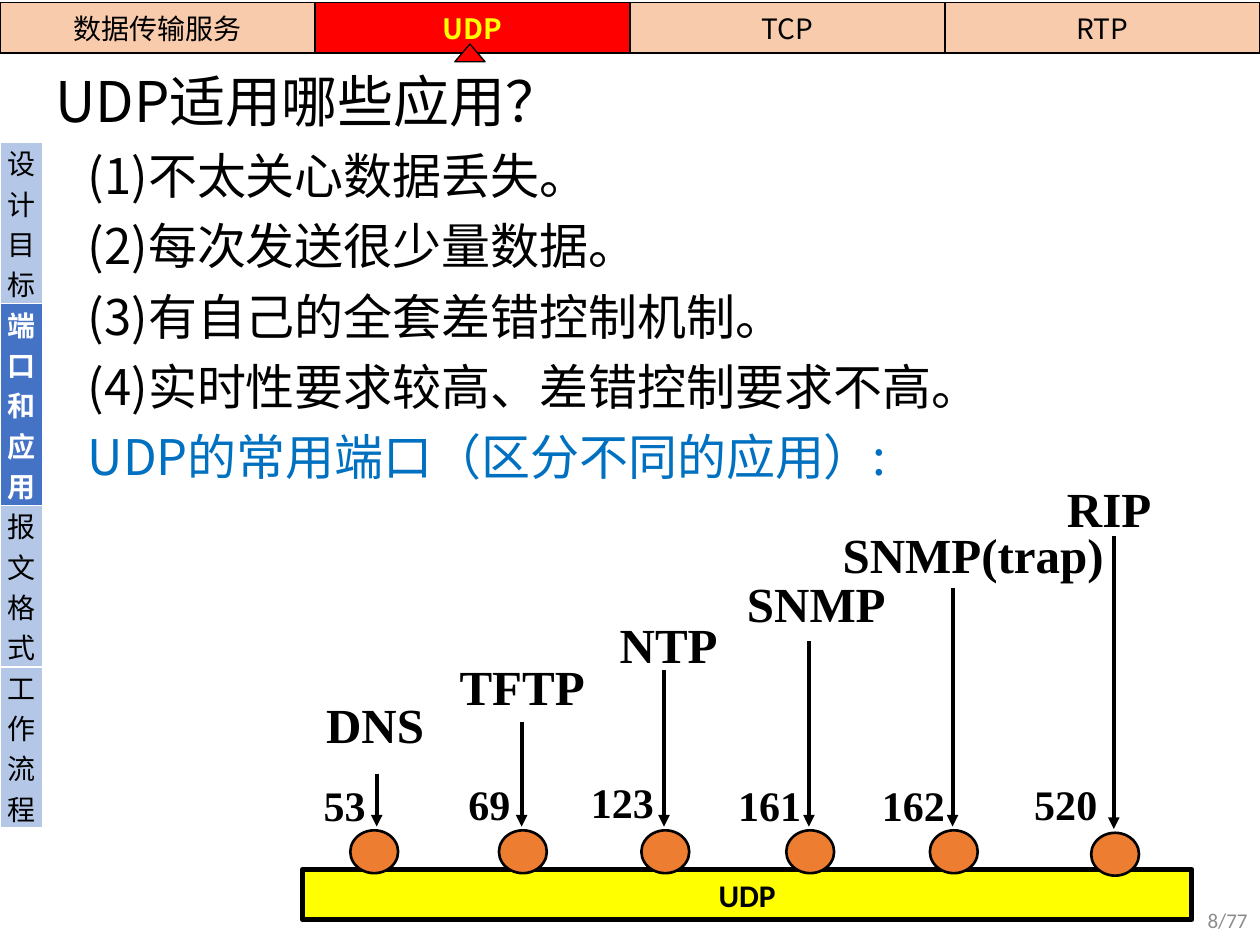
from lxml import etree
from pptx import Presentation
from pptx import util as u
from pptx.dml.color import RGBColor
from pptx.enum import shapes, text
from pptx.oxml.ns import qn

COLORS = {
    "black": "000000", "white": "FFFFFF", "red": "FF0000", "yellow": "FFFF00",
    "peach": "F8CBAD", "pale_blue": "B4C7E7", "blue": "4472C4",
    "link_blue": "0070C0", "orange": "ED7D31", "gray": "8C8C8C",
}
SANS, SERIF, LATIN = "Noto Sans CJK SC", "Times New Roman", "Calibri"
CHAPTERS = ["数据传输服务", "UDP", "TCP", "RTP"]
SECTIONS = ["设计目标", "端口和应用", "报文格式", "工作流程"]
POINTS = [
    ("(1)不太关心数据丢失。", "black"),
    ("(2)每次发送很少量数据。", "black"),
    ("(3)有自己的全套差错控制机制。", "black"),
    ("(4)实时性要求较高、差错控制要求不高。", "black"),
    ("UDP的常用端口（区分不同的应用）:", "link_blue"),
]
# name, name box (left, top, width), port, port box (left, top, width),
# circle (left, top), arrow (x, top)
PORTS = [
    ("DNS", (2.49, 5.46, 1.44), "53", (2.47, 6.14, 1.23), (2.78, 6.59), (2.99, 6.14)),
    ("TFTP", (3.55, 5.16, 1.8), "69", (3.62, 6.13, 1), (3.96, 6.59), (4.14, 5.73)),
    ("NTP", (4.82, 4.83, 1.2), "123", (4.59, 6.11, 0.89), (5.09, 6.59), (5.27, 5.32)),
    ("SNMP", (5.83, 4.5, 1.68), "161", (5.76, 6.14, 0.89), (6.24, 6.59), (6.42, 5.09)),
    ("SNMP(trap)", (6.59, 4.11, 2.37), "162", (6.9, 6.14, 0.89), (7.38, 6.59), (7.56, 4.67)),
    ("RIP", (8.37, 3.75, 1.2), "520", (8.11, 6.13, 0.89), (8.66, 6.61), (8.84, 4.25)),
]


def rgb(name):
    """Return the named palette colour."""
    return RGBColor.from_string(COLORS[name])


def inches(*values):
    """Convert numbers to lengths in inches."""
    return [u.Inches(value) for value in values]


def add_run(paragraph, wording, size, font, color="black", bold=False):
    """Add one formatted run to a paragraph."""
    run = paragraph.add_run()
    run.text = wording
    run.font.size = u.Pt(size)
    run.font.name = font
    run.font.bold = bold
    run.font.color.rgb = rgb(color)
    etree.SubElement(run.font._element, qn("a:ea"), typeface=font)


def add_text(slide, box, wording, size, font, color="black", bold=False,
             align=text.PP_ALIGN.LEFT, anchor=text.MSO_ANCHOR.TOP, spacing=None):
    """Add a wrapping text box that holds one line."""
    frame = slide.shapes.add_textbox(*inches(*box)).text_frame
    frame.word_wrap = True
    frame.vertical_anchor = anchor
    paragraph = frame.paragraphs[0]
    paragraph.alignment = align
    paragraph.line_spacing = spacing
    add_run(paragraph, wording, size, font, color, bold)


def add_points(slide):
    """Add the list of conditions and the heading of the port diagram."""
    frame = slide.shapes.add_textbox(*inches(0.6, 1.16, 8.13, 2.78)).text_frame
    frame.word_wrap = True
    frame.auto_size = text.MSO_AUTO_SIZE.TEXT_TO_FIT_SHAPE
    for index, (wording, color) in enumerate(POINTS):
        paragraph = frame.add_paragraph() if index else frame.paragraphs[0]
        paragraph.line_spacing = 0.9
        if index:
            paragraph.space_before = u.Pt(10)
        properties = paragraph._p.get_or_add_pPr()
        properties.set("marL", str(u.Inches(0.25)))
        properties.set("indent", str(u.Inches(-0.25)))
        add_run(paragraph, wording, 28, SANS, color)


def set_borders(cell, color):
    """Draw a one point border on each side of a cell."""
    properties = cell._tc.get_or_add_tcPr()
    for side in ("lnL", "lnR", "lnT", "lnB"):
        line = etree.SubElement(properties, qn(f"a:{side}"), w=str(u.Pt(1)))
        fill = etree.SubElement(line, qn("a:solidFill"))
        etree.SubElement(fill, qn("a:srgbClr"), val=COLORS[color])


def add_navigation(slide, box, labels, vertical, border, plain, active, active_text):
    """Add a one-row or one-column table whose second cell is active."""
    rows, columns = (len(labels), 1) if vertical else (1, len(labels))
    table = slide.shapes.add_table(rows, columns, *inches(*box)).table
    table.first_row = table.horz_banding = False
    for index, (cell, label) in enumerate(zip(table.iter_cells(), labels)):
        current = index == 1
        set_borders(cell, border)
        cell.fill.solid()
        cell.fill.fore_color.rgb = rgb(active if current else plain)
        cell.margin_left = cell.margin_right = cell.margin_top = cell.margin_bottom = 0
        cell.vertical_anchor = text.MSO_ANCHOR.MIDDLE
        paragraph = cell.text_frame.paragraphs[0]
        paragraph.alignment = text.PP_ALIGN.CENTER
        add_run(paragraph, label, 16, SANS, active_text if current else "black", current)


def add_block(slide, preset, box, fill, width):
    """Add a filled preset shape with a black outline."""
    shape = slide.shapes.add_shape(preset, *inches(*box))
    shape.shadow.inherit = False
    shape.fill.solid()
    shape.fill.fore_color.rgb = rgb(fill)
    shape.line.color.rgb = rgb("black")
    shape.line.width = u.Pt(width)
    return shape


def add_arrow(slide, x, top, bottom):
    """Add a vertical arrow pointing down."""
    connector = slide.shapes.add_connector(
        shapes.MSO_CONNECTOR.STRAIGHT, *inches(x, top, x, bottom))
    connector.line.color.rgb = rgb("black")
    connector.line.width = u.Pt(2.25)
    etree.SubElement(connector.line._get_or_add_ln(), qn("a:tailEnd"), type="triangle")
    etree.SubElement(connector._element.spPr, qn("a:effectLst"))


def add_port(slide, name, name_box, number, number_box, circle, arrow):
    """Add an application name, its port number, arrow and circle."""
    add_block(slide, shapes.MSO_SHAPE.OVAL, (*circle, 0.38, 0.34), "orange", 1.5)
    add_arrow(slide, *arrow, circle[1] - 0.03)
    add_text(slide, (*name_box, 0.57), name, 28, SERIF, bold=True)
    add_text(slide, (*number_box, 0.5), number, 24, SERIF, bold=True)


def main():
    """Build the slide and save it."""
    presentation = Presentation()
    presentation.slide_width, presentation.slide_height = inches(10, 7.5)
    slide = presentation.slides.add_slide(presentation.slide_layouts[6])
    middle = text.MSO_ANCHOR.MIDDLE

    add_points(slide)
    add_navigation(slide, (0, 0.02, 10, 0.4), CHAPTERS, False,
                   "black", "peach", "red", "yellow")
    add_block(slide, shapes.MSO_SHAPE.FLOWCHART_EXTRACT,
              (3.61, 0.35, 0.24, 0.14), "red", 0.75)
    add_navigation(slide, (0, 1.13, 0.34, 4.53), SECTIONS, True,
                   "white", "pale_blue", "blue", "white")

    bar = add_block(slide, shapes.MSO_SHAPE.RECTANGLE, (2.4, 6.9, 7.06, 0.4), "yellow", 3)
    bar_paragraph = bar.text_frame.paragraphs[0]
    bar_paragraph.alignment = text.PP_ALIGN.CENTER
    add_run(bar_paragraph, "UDP", 18, LATIN, bold=True)
    for port in PORTS:
        add_port(slide, *port)

    add_text(slide, (0.34, 0.49, 8.74, 0.68), "UDP适用哪些应用？", 32, SANS,
             anchor=middle, spacing=0.9)
    add_text(slide, (7.75, 7.1, 2.25, 0.4), "8/77", 12, LATIN, "gray",
             align=text.PP_ALIGN.RIGHT, anchor=middle)
    presentation.save("out.pptx")


if __name__ == "__main__":
    main()
